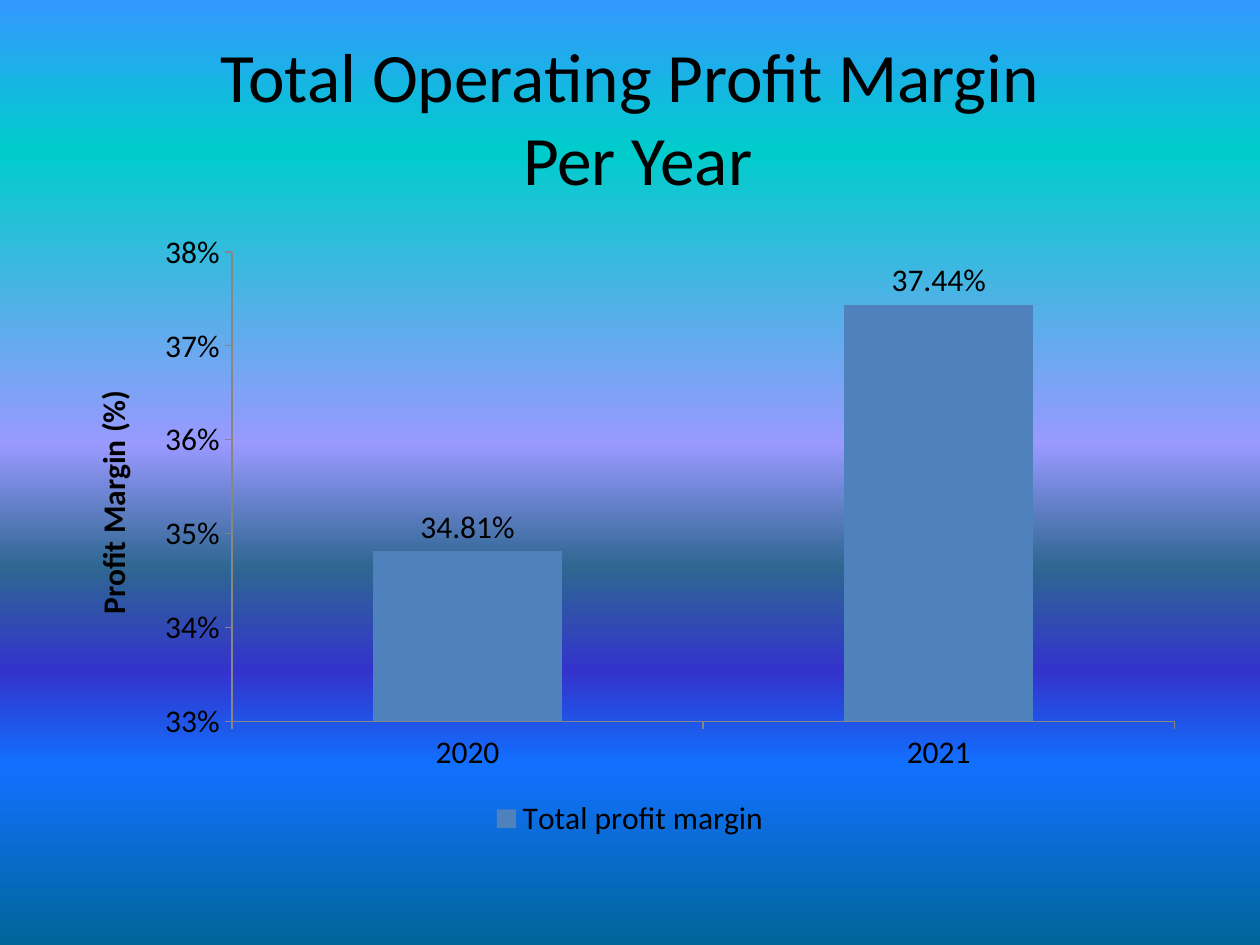
from lxml.etree import SubElement
from pptx import Presentation
from pptx.chart.data import CategoryChartData
from pptx.dml.color import RGBColor
from pptx.enum.chart import XL_CHART_TYPE as ChartType
from pptx.enum.chart import XL_LABEL_POSITION as LabelPosition
from pptx.enum.chart import XL_LEGEND_POSITION as LegendPosition
from pptx.enum.chart import XL_TICK_MARK as TickMark
from pptx.enum.text import MSO_ANCHOR, PP_ALIGN
from pptx.oxml.ns import qn
from pptx.util import Inches, Pt

COLORS = {"text": "000000", "bar": "4F81BD", "axis": "868686"}
BACKGROUND = {0: "3399FF", 16: "00CCCC", 47: "9999FF", 60: "2E6792",
              71: "3333CC", 81: "1170FF", 100: "006699"}
FONT = "Calibri"
TITLE_BOX = (0.05, 0.04, 0.9, 1 / 6)
CHART_BOX = (0.05, 1.75 / 7.5, 0.9, 0.66)


def style_font(font, size, bold=False):
    """Apply the common typeface and text colour."""
    font.name, font.size, font.bold = FONT, Pt(size), bold
    font.color.rgb = RGBColor.from_string(COLORS["text"])


def scale_box(deck, shares):
    """Turn shares of the slide into left, top, width and height."""
    sides = (deck.slide_width, deck.slide_height) * 2
    return [round(share * side) for share, side in zip(shares, sides)]


def paint_background(page):
    """Fill the page with a vertical gradient of several stops."""
    fill = page.background.fill
    fill.gradient()
    fill.gradient_angle = 270
    stops = next(page.background._cSld.iter(qn("a:gsLst")))
    for stop in list(stops):
        stops.remove(stop)
    for percent, color in BACKGROUND.items():
        stop = SubElement(stops, qn("a:gs"), pos=str(percent * 1000))
        SubElement(stop, qn("a:srgbClr"), val=color)


def add_title(page, box, text):
    """Place and format the title placeholder."""
    title = page.shapes.title
    title.left, title.top, title.width, title.height = box
    frame = title.text_frame
    frame.text = text
    frame.vertical_anchor = MSO_ANCHOR.MIDDLE
    para = frame.paragraphs[0]
    para.alignment = PP_ALIGN.CENTER
    style_font(para.font, 39.6)


def add_margin_chart(page, box):
    """Draw the column chart of profit margin by year."""
    data = CategoryChartData()
    data.categories = ["2020", "2021"]
    data.add_series("Total profit margin", [0.3481, 0.3744])
    chart = page.shapes.add_chart(ChartType.COLUMN_CLUSTERED, *box, data).chart
    style_font(chart.font, 18)
    chart.has_title = False
    chart.has_legend = True
    chart.legend.position = LegendPosition.BOTTOM
    chart.legend.include_in_layout = False

    for axis in (chart.category_axis, chart.value_axis):
        axis.has_major_gridlines = False
        axis.major_tick_mark = TickMark.OUTSIDE
        axis.minor_tick_mark = TickMark.NONE
        axis.format.line.width = Pt(0.75)
        axis.format.line.color.rgb = RGBColor.from_string(COLORS["axis"])
    values = chart.value_axis
    values.minimum_scale, values.maximum_scale = 0.33, 0.38
    values.major_unit = 0.01
    values.tick_labels.number_format = "0%"
    values.tick_labels.number_format_is_linked = False
    caption = values.axis_title.text_frame
    caption.text = "Profit Margin (%)"
    style_font(caption.paragraphs[0].font, 18, bold=True)

    plot = chart.plots[0]
    plot.gap_width = 150
    plot.vary_by_categories = False
    series = plot.series[0]
    series.format.fill.solid()
    series.format.fill.fore_color.rgb = RGBColor.from_string(COLORS["bar"])
    labels = series.data_labels
    labels.show_value = True
    labels.number_format = "0.00%"
    labels.number_format_is_linked = False
    labels.position = LabelPosition.OUTSIDE_END
    style_font(labels.font, 18)


def main():
    """Build and save the slide."""
    deck = Presentation()
    deck.slide_width, deck.slide_height = Inches(10), Inches(7.5)
    page = deck.slides.add_slide(deck.slide_layouts.get_by_name("Title Only"))
    paint_background(page)
    add_title(page, scale_box(deck, TITLE_BOX),
              "Total Operating Profit Margin\v Per Year")
    add_margin_chart(page, scale_box(deck, CHART_BOX))
    deck.save("out.pptx")


if __name__ == "__main__":
    main()
